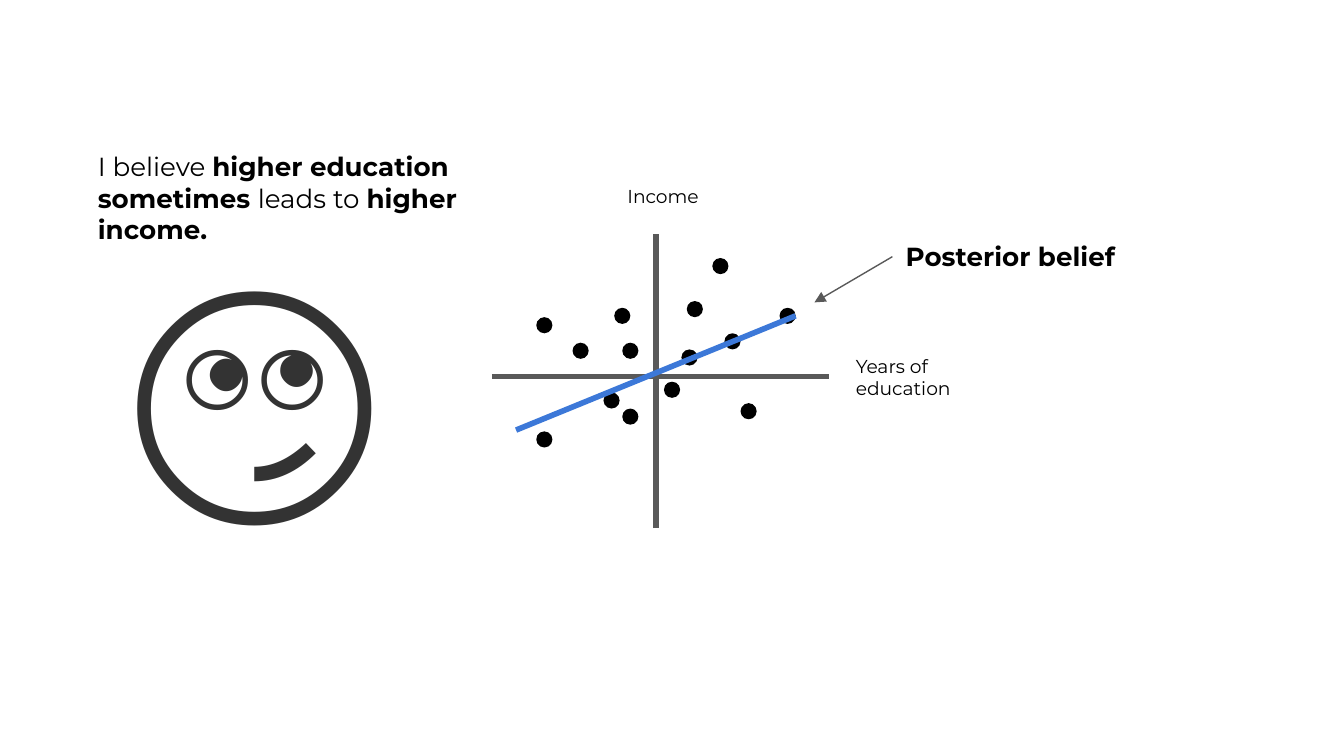
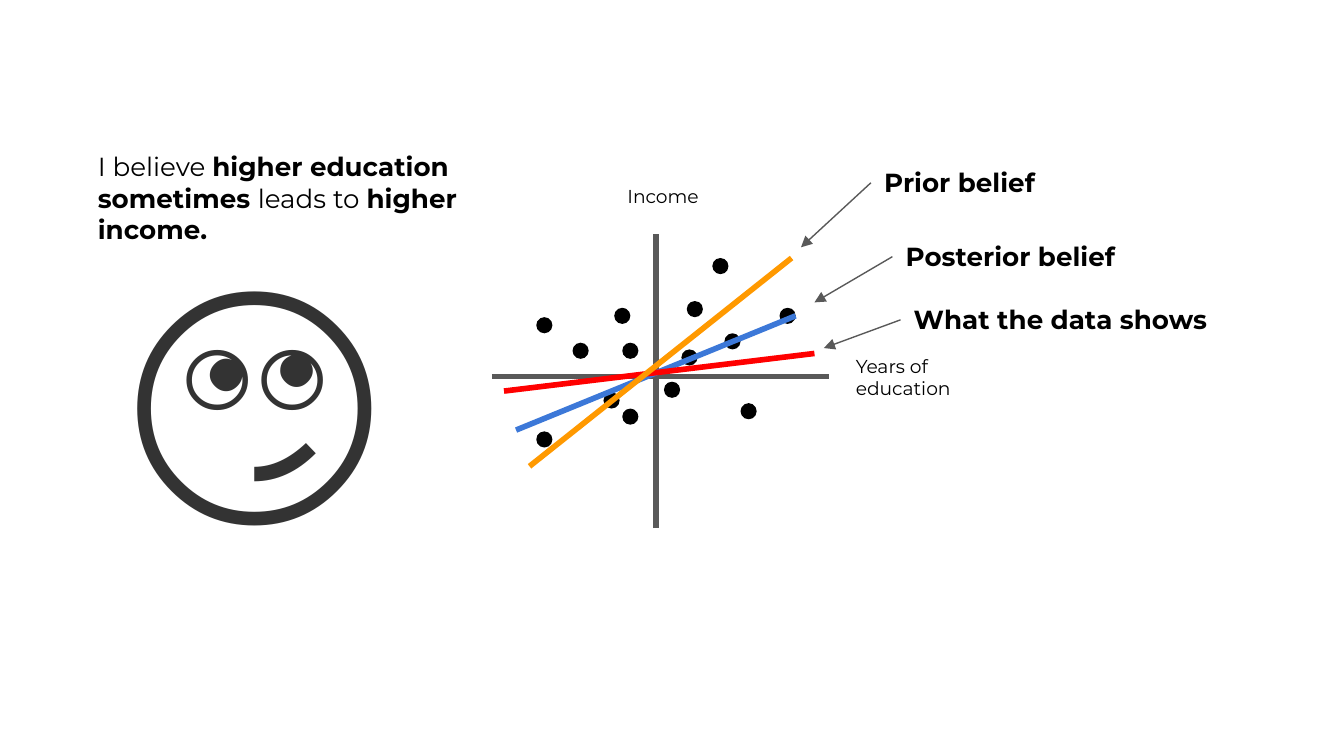
from lxml.etree import SubElement
from pptx import Presentation
from pptx.dml.color import RGBColor
from pptx.enum.shapes import MSO_CONNECTOR, MSO_SHAPE
from pptx.enum.text import MSO_AUTO_SIZE
from pptx.oxml.ns import qn
from pptx.util import Emu, Pt

EMU_PER_PX = 9144
SLIDE_WIDTH = 1000
FONT = "Montserrat"
BLACK, GREY, FACE_GREY = "000000", "595959", "333333"
DOT_SIZE = 12
LABEL_SIZE = (385, 44)

FACE = ("🙄", (84, 145, 228, 273))
STATEMENT = [
    ("I believe ", False),
    ("higher education sometimes ", True),
    ("leads to ", False),
    ("higher income.", True),
]
STATEMENT_BOX = (63, 102, 303, 91)
AXES = [
    ("Income", (457, 129, 339, 37), (488, 393), (488, 174)),
    ("Years of education", (627, 254, 116, 54), (366, 280), (617, 280)),
]
DOTS = [
    (530, 192), (507, 260), (399, 236), (551, 300), (580, 229),
    (494, 284), (463, 304), (449, 292), (457, 229), (399, 321),
    (511, 224), (426, 255), (463, 255), (539, 248),
]
POSTERIOR = dict(text="Posterior belief", color="3C78D8",
                 trend=((384, 320), (592, 235)), tip=(606, 225), label=(664, 169))
DATA = dict(text="What the data shows", color="FF0000",
            trend=((375, 291), (606, 263)), tip=(613, 259), label=(670, 216))
PRIOR = dict(text="Prior belief", color="FF9900",
             trend=((394, 347), (589, 192)), tip=(596, 184), label=(648, 114))
SLIDES = [[POSTERIOR], [POSTERIOR, DATA, PRIOR]]


def px(*lengths):
    return [Emu(length * EMU_PER_PX) for length in lengths]


def rgb(color):
    return RGBColor.from_string(color)


def add_text(slide, runs, box, size, color=BLACK, font=FONT):
    shape = slide.shapes.add_textbox(*px(*box))
    frame = shape.text_frame
    frame.word_wrap = True
    frame.auto_size = MSO_AUTO_SIZE.SHAPE_TO_FIT_TEXT
    frame.margin_left, frame.margin_top, frame.margin_right, frame.margin_bottom = px(10, 10, 10, 10)
    paragraph = frame.paragraphs[0]
    for text, bold in runs:
        run = paragraph.add_run()
        run.text = text
        run.font.bold = bold
    paragraph.font.name = font
    paragraph.font.size = Pt(size)
    paragraph.font.color.rgb = rgb(color)
    return shape


def add_line(slide, start, end, color, width):
    line = slide.shapes.add_connector(MSO_CONNECTOR.STRAIGHT, *px(*start, *end))
    line.line.color.rgb = rgb(color)
    line.line.width = Pt(width)
    SubElement(line._element.spPr, qn("a:effectLst"))
    return line


def add_dot(slide, left, top):
    dot = slide.shapes.add_shape(MSO_SHAPE.OVAL, *px(left, top, DOT_SIZE, DOT_SIZE))
    dot.shadow.inherit = False
    dot.fill.solid()
    dot.fill.fore_color.rgb = rgb(BLACK)
    dot.line.fill.background()


def add_label(slide, belief):
    label = add_text(slide, [(belief["text"], True)], (*belief["label"], *LABEL_SIZE), 14)
    arrow = add_line(slide, belief["tip"], belief["label"], GREY, 0.75)
    arrow.end_connect(label, 1)
    SubElement(arrow.line._get_or_add_ln(), qn("a:headEnd"), type="triangle")


def add_belief_slide(presentation, beliefs):
    slide = presentation.slides.add_slide(presentation.slide_layouts[6])
    face, face_box = FACE
    add_text(slide, [(face, False)], face_box, 150, FACE_GREY, "Arial")
    add_text(slide, STATEMENT, STATEMENT_BOX, 14)
    for name, box, start, end in AXES:
        add_line(slide, start, end, GREY, 3)
        add_text(slide, [(name, False)], box, 10)
    for left, top in DOTS:
        add_dot(slide, left, top)
    for belief in beliefs:
        add_line(slide, *belief["trend"], belief["color"], 3)
    for belief in beliefs:
        add_label(slide, belief)


def main():
    presentation = Presentation()
    presentation.slide_width, = px(SLIDE_WIDTH)
    presentation.slide_height = Emu(presentation.slide_width * 9 // 16)
    for beliefs in SLIDES:
        add_belief_slide(presentation, beliefs)
    presentation.save("out.pptx")


if __name__ == "__main__":
    main()
